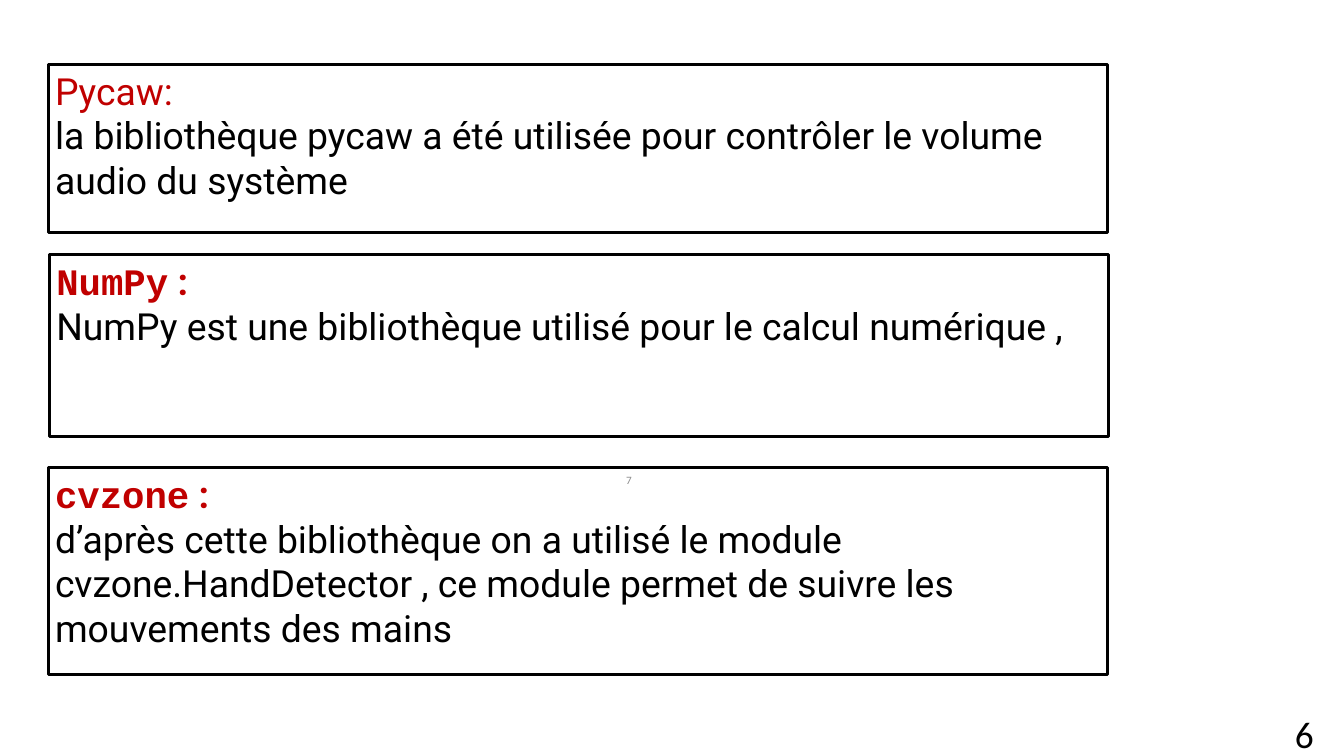
from typing import NamedTuple

from pptx import Presentation
from pptx import util as u
from pptx.dml.color import RGBColor
from pptx.enum import shapes, text

BLACK = RGBColor(0x00, 0x00, 0x00)
WHITE = RGBColor(0xFF, 0xFF, 0xFF)
RED = RGBColor(0xC0, 0x00, 0x00)
GREY = RGBColor(0x8C, 0x8C, 0x8C)
BODY_FONT = "Roboto"
CODE_FONT = "Courier New"
NUMBER_FONT = "Calibri"
BODY_SIZE = 40
CARD_WIDTH = 40.03


class Run(NamedTuple):
    words: str
    font: str = BODY_FONT
    color: RGBColor = BLACK
    bold: bool = False
    size: float = BODY_SIZE


class Library(NamedTuple):
    left: float
    top: float
    height: float
    heading: list[Run]
    description: str


class Number(NamedTuple):
    left: float
    top: float
    width: float
    height: float
    run: Run
    alignment: text.PP_ALIGN
    anchor: text.MSO_ANCHOR


def code_heading(name: str) -> list[Run]:
    return [Run(name, CODE_FONT, RED, True), Run(" :", BODY_FONT, RED, True)]


LIBRARIES = [
    Library(1.83, 2.44, 6.35, [Run("Pycaw:", color=RED)],
            "la bibliothèque pycaw a été utilisée pour contrôler "
            "le volume audio du système"),
    Library(1.88, 9.63, 6.86, code_heading("NumPy"),
            "NumPy est une bibliothèque utilisé pour le calcul numérique ,"),
    Library(1.83, 17.68, 7.82, code_heading("cvzone"),
            "d’après cette bibliothèque on a utilisé le module "
            "cvzone.HandDetector , ce module permet de suivre les "
            "mouvements des mains"),
]

NUMBERS = [
    Number(18.21, 17.65, 5.92, 1.02, Run("7", NUMBER_FONT, GREY, size=12),
           text.PP_ALIGN.RIGHT, text.MSO_ANCHOR.MIDDLE),
    Number(48.69, 26.77, 1.27, 1.96, Run("6", NUMBER_FONT),
           text.PP_ALIGN.LEFT, text.MSO_ANCHOR.TOP),
]


def add_runs(paragraph, runs: list[Run], alignment: text.PP_ALIGN) -> None:
    paragraph.alignment = alignment
    for item in runs:
        run = paragraph.add_run()
        run.text = item.words
        run.font.name = item.font
        run.font.size = u.Pt(item.size)
        run.font.bold = item.bold
        run.font.color.rgb = item.color


def draw_library(slide, library: Library) -> None:
    shape = slide.shapes.add_shape(
        shapes.MSO_SHAPE.RECTANGLE, u.Cm(library.left), u.Cm(library.top),
        u.Cm(CARD_WIDTH), u.Cm(library.height))
    shape.shadow.inherit = False
    shape.fill.background()
    shape.line.color.rgb = BLACK
    shape.line.width = u.Pt(3)
    frame = shape.text_frame
    frame.word_wrap = True
    frame.vertical_anchor = text.MSO_ANCHOR.TOP
    add_runs(frame.paragraphs[0], library.heading, text.PP_ALIGN.LEFT)
    add_runs(frame.add_paragraph(), [Run(library.description)], text.PP_ALIGN.LEFT)


def draw_number(slide, number: Number) -> None:
    box = slide.shapes.add_textbox(
        u.Cm(number.left), u.Cm(number.top), u.Cm(number.width), u.Cm(number.height))
    frame = box.text_frame
    frame.word_wrap = True
    frame.vertical_anchor = number.anchor
    add_runs(frame.paragraphs[0], [number.run], number.alignment)


def main() -> None:
    presentation = Presentation()
    presentation.slide_width = u.Cm(50.8)
    presentation.slide_height = u.Cm(28.58)
    slide = presentation.slides.add_slide(presentation.slide_layouts[6])
    slide.background.fill.solid()
    slide.background.fill.fore_color.rgb = WHITE

    # Library cards
    for library in LIBRARIES:
        draw_library(slide, library)

    # Slide numbers
    for number in NUMBERS:
        draw_number(slide, number)

    presentation.save("out.pptx")


if __name__ == "__main__":
    main()
